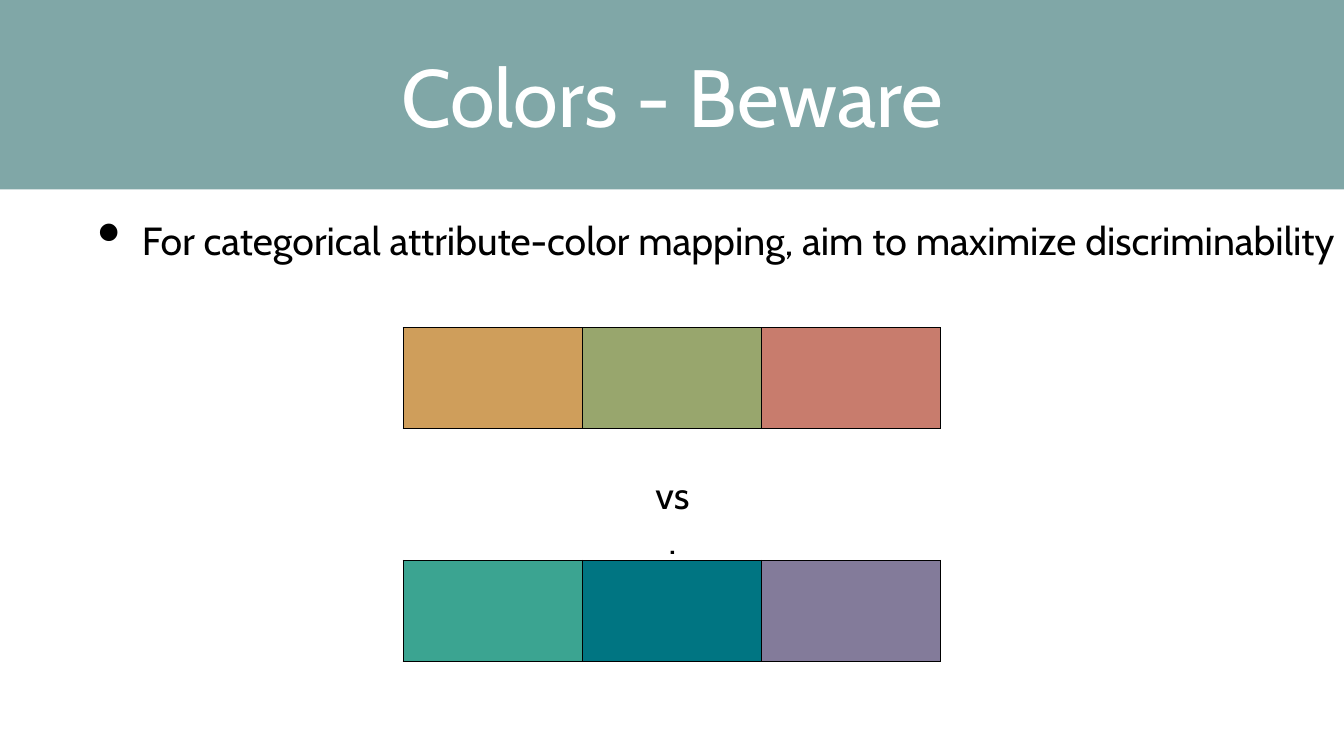
"""Builds a slide on choosing discriminable colours for categories."""
from dataclasses import dataclass

from lxml import etree
from pptx import Presentation
from pptx.dml.color import RGBColor
from pptx.enum.text import MSO_ANCHOR, PP_ALIGN
from pptx.oxml.ns import qn
from pptx.util import Inches, Pt

CENTER = PP_ALIGN.CENTER
MIDDLE = MSO_ANCHOR.MIDDLE
TITLE_ONLY = 5


@dataclass(frozen=True)
class Theme:
    font: str = "Cabin"
    band: str = "80A7A7"
    title: str = "FFFFFF"
    ink: str = "000000"
    title_size: int = 58
    bullet_size: int = 28
    versus_size: int = 27
    border: int = 1
    similar: tuple = (("CF9E5B", 100), ("98A66D", 100), ("C87C6D", 100))
    distinct: tuple = (("008970", 77), ("007582", 100), ("837B9A", 100))


THEME = Theme()


def style(paragraph, size, color):
    paragraph.font.name = THEME.font
    paragraph.font.size = Pt(size)
    paragraph.font.color.rgb = RGBColor.from_string(color)


def set_margins(frame, side, top):
    frame.margin_left = frame.margin_right = Inches(side)
    frame.margin_top = frame.margin_bottom = Inches(top)


def add_title(slide, text):
    band = slide.shapes.title
    band.left, band.top = Inches(0), Inches(0)
    band.width, band.height = Inches(13.33), Inches(1.88)
    band.fill.solid()
    band.fill.fore_color.rgb = RGBColor.from_string(THEME.band)
    frame = band.text_frame
    frame.text = text
    frame.vertical_anchor = MIDDLE
    set_margins(frame, 0.03, 0.03)
    heading = frame.paragraphs[0]
    heading.alignment = CENTER
    style(heading, THEME.title_size, THEME.title)


def add_text(slide, text, left, top, width, height, size):
    frame = slide.shapes.add_textbox(
        Inches(left), Inches(top), Inches(width), Inches(height)).text_frame
    frame.word_wrap = True
    frame.text = text
    return frame, size


def add_bullet(slide, text):
    frame, size = add_text(slide, text, 0.7, 2.1, 12.91, 4.71, THEME.bullet_size)
    advice = frame.paragraphs[0]
    props = advice._p.get_or_add_pPr()
    props.set("marL", str(Inches(0.61)))
    props.set("indent", str(Inches(-0.44)))
    etree.SubElement(props, qn("a:buSzPct"), val="171000")
    etree.SubElement(props, qn("a:buChar"), char="•")
    style(advice, size, THEME.ink)


def add_versus(slide, text):
    frame, size = add_text(slide, text, 6.42, 4.65, 0.5, 0.5, THEME.versus_size)
    set_margins(frame, 0.05, 0.03)
    versus = frame.paragraphs[0]
    versus.alignment = CENTER
    style(versus, size, THEME.ink)


def add_borders(cell):
    props = cell._tc.get_or_add_tcPr()
    for index, side in enumerate(("lnL", "lnR", "lnT", "lnB")):
        line = etree.Element(qn(f"a:{side}"), w=str(Pt(THEME.border)))
        fill = etree.SubElement(line, qn("a:solidFill"))
        etree.SubElement(fill, qn("a:srgbClr"), val=THEME.ink)
        props.insert(index, line)


def add_palette(slide, top, swatches):
    palette = slide.shapes.add_table(
        1, len(swatches), Inches(4), Inches(top), Inches(5.33), Inches(1)).table
    palette.first_row = palette.horz_banding = False
    for cell, (color, opacity) in zip(palette.iter_cells(), swatches):
        cell.fill.solid()
        cell.fill.fore_color.rgb = RGBColor.from_string(color)
        if opacity < 100:
            tint = cell._tc.tcPr.find(".//" + qn("a:srgbClr"))
            etree.SubElement(tint, qn("a:alpha"), val=str(opacity * 1000))
        add_borders(cell)


def main():
    deck = Presentation()
    deck.slide_width, deck.slide_height = Inches(13.33), Inches(7.5)
    slide = deck.slides.add_slide(deck.slide_layouts[TITLE_ONLY])
    add_title(slide, "Colors - Beware")
    add_bullet(slide, "For categorical attribute-color mapping, "
                      "aim to maximize discriminability")
    add_palette(slide, 3.25, THEME.similar)
    add_palette(slide, 5.56, THEME.distinct)
    add_versus(slide, "vs.")
    deck.save("out.pptx")


if __name__ == "__main__":
    main()
